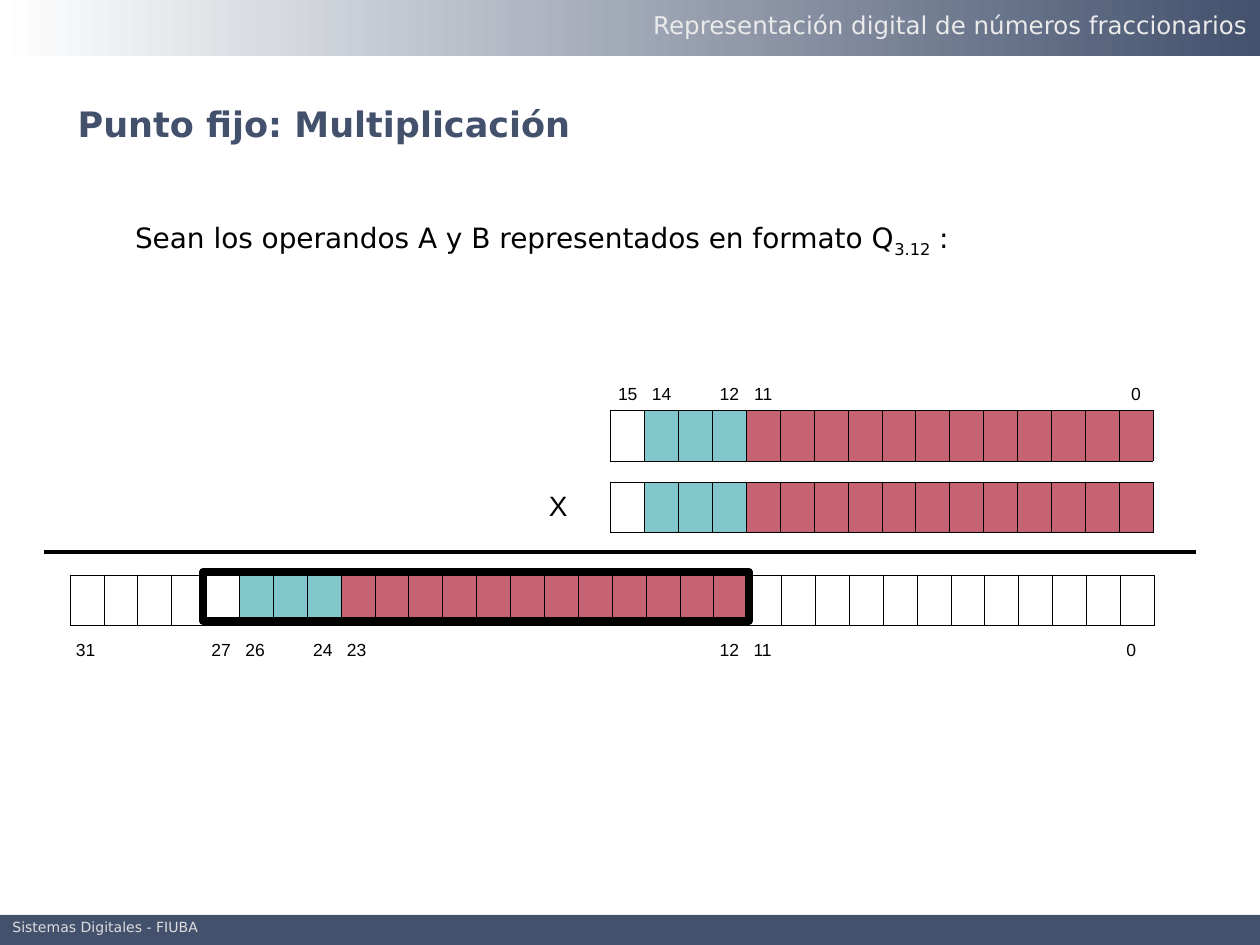
from dataclasses import dataclass

from lxml.etree import SubElement
from pptx import Presentation
from pptx.dml.color import RGBColor
from pptx.enum.shapes import MSO_CONNECTOR, MSO_SHAPE
from pptx.enum.text import MSO_ANCHOR, MSO_AUTO_SIZE, PP_ALIGN
from pptx.oxml.ns import qn
from pptx.util import Emu, Pt


@dataclass(frozen=True)
class Theme:
    navy: str = "43516D"
    white: str = "FFFFFF"
    black: str = "000000"
    header_text: str = "EAEAEA"
    footer_text: str = "DDDDDD"
    integer: str = "82C7CC"
    fraction: str = "C56373"
    font: str = "DejaVu Sans"
    table_font: str = "Arial"
    title_size: int = 20
    body_size: int = 16
    header_size: int = 14
    bit_size: int = 10
    footer_size: int = 8
    thin: float = 0.45
    rule: float = 2.25
    frame: float = 4.5


def px(value):
    return Emu(round(value * 914400 / 126))


class SlideBuilder:
    def __init__(self, presentation, theme):
        self.theme = theme
        self.slide = presentation.slides.add_slide(presentation.slide_layouts[1])

    def place(self, shape, left, top, width, height):
        shape.left, shape.top = px(left), px(top)
        shape.width, shape.height = px(width), px(height)

    def style(self, paragraph, size, color, name=None, bold=False):
        font = paragraph.font
        font.size, font.name, font.bold = Pt(size), name or self.theme.font, bold
        font.color.rgb = RGBColor.from_string(color)

    def title(self, text, box):
        shape = self.slide.shapes.title
        self.place(shape, *box)
        frame = shape.text_frame
        frame.text = text
        frame.vertical_anchor = MSO_ANCHOR.TOP
        frame.auto_size = MSO_AUTO_SIZE.SHAPE_TO_FIT_TEXT
        paragraph = frame.paragraphs[0]
        paragraph.alignment = PP_ALIGN.LEFT
        paragraph.space_before = Pt(12.5)
        self.style(paragraph, self.theme.title_size, self.theme.navy, bold=True)

    def body(self, parts, box):
        shape = self.slide.placeholders[1]
        self.place(shape, *box)
        frame = shape.text_frame
        frame.auto_size = MSO_AUTO_SIZE.NONE
        frame.margin_left = frame.margin_right = px(18)
        frame.margin_top, frame.margin_bottom = px(16), px(21)
        paragraph = frame.paragraphs[0]
        paragraph.level = 1
        paragraph.line_spacing = 1.5
        paragraph.space_before = Pt(10)
        properties = paragraph._p.get_or_add_pPr()
        properties.set("marL", str(px(63)))
        properties.set("indent", "0")
        SubElement(properties, qn("a:buNone"))
        self.style(paragraph, self.theme.body_size, self.theme.black)
        for text, baseline in parts:
            run = paragraph.add_run()
            run.text = text
            if baseline:
                run._r.get_or_add_rPr().set("baseline", str(baseline * 1000))

    def text(self, text, box, size, color, alignment=PP_ALIGN.LEFT, before=0, spacing=1.0):
        shape = self.slide.shapes.add_textbox(*map(px, box))
        frame = shape.text_frame
        frame.word_wrap = True
        frame.auto_size = MSO_AUTO_SIZE.SHAPE_TO_FIT_TEXT
        frame.text = text
        paragraph = frame.paragraphs[0]
        paragraph.alignment = alignment
        paragraph.space_before = Pt(before)
        paragraph.line_spacing = spacing
        self.style(paragraph, size, color)

    def rectangle(self, box):
        shape = self.slide.shapes.add_shape(MSO_SHAPE.RECTANGLE, *map(px, box))
        shape.shadow.inherit = False
        return shape

    def bar(self, box, color):
        shape = self.rectangle(box)
        shape.fill.solid()
        shape.fill.fore_color.rgb = RGBColor.from_string(color)
        shape.line.fill.background()

    def gradient_bar(self, box, colors):
        shape = self.rectangle(box)
        shape.fill.gradient()
        shape.fill.gradient_angle = 0
        for stop, position, color in zip(shape.fill.gradient_stops, (0, 1), colors):
            stop.position = position
            stop.color.rgb = RGBColor.from_string(color)
        shape.line.fill.background()

    def frame(self, box):
        shape = self.rectangle(box)
        shape.fill.background()
        shape.line.color.rgb = RGBColor.from_string(self.theme.black)
        shape.line.width = Pt(self.theme.frame)

    def rule(self, left, right, y):
        line = self.slide.shapes.add_connector(
            MSO_CONNECTOR.STRAIGHT, px(left), px(y), px(right), px(y))
        line.line.color.rgb = RGBColor.from_string(self.theme.black)
        line.line.width = Pt(self.theme.rule)
        SubElement(line._element.spPr, qn("a:effectLst"))

    def borders(self, cell, sides):
        properties = cell._tc.get_or_add_tcPr()
        for side, drawn in sides.items():
            line = SubElement(properties, qn(f"a:ln{side}"), w=str(Pt(self.theme.thin)))
            if drawn:
                fill = SubElement(line, qn("a:solidFill"))
                SubElement(fill, qn("a:srgbClr"), val=self.theme.black)
            else:
                SubElement(line, qn("a:noFill"))

    def label(self, cell, text, size, alignment, anchor):
        cell.text = text
        cell.vertical_anchor = anchor
        cell.margin_left = cell.margin_right = px(6)
        cell.margin_top = cell.margin_bottom = px(6)
        paragraph = cell.text_frame.paragraphs[0]
        paragraph.alignment = alignment
        paragraph.space_before = Pt(size / 4)
        self.style(paragraph, size, self.theme.black, self.theme.table_font)

    def bit_table(self, box, heights, rows, labels, size,
                  alignment=PP_ALIGN.LEFT, anchor=MSO_ANCHOR.MIDDLE):
        columns = len(rows[0])
        table = self.slide.shapes.add_table(len(rows), columns, *map(px, box)).table
        table.first_row = table.horz_banding = False
        for column in table.columns:
            column.width = px(box[2] / columns)
        for row, height in zip(table.rows, heights):
            row.height = px(height)
        colors = {"i": self.theme.integer, "f": self.theme.fraction}

        def boxed(row, column):
            inside = 0 <= row < len(rows) and 0 <= column < columns
            return inside and rows[row][column] != "."

        for r, kinds in enumerate(rows):
            for c, kind in enumerate(kinds):
                cell = table.cell(r, c)
                neighbours = {"L": (r, c - 1), "R": (r, c + 1), "T": (r - 1, c), "B": (r + 1, c)}
                self.borders(cell, {side: boxed(r, c) or boxed(*place)
                                    for side, place in neighbours.items()})
                if kind in colors:
                    cell.fill.solid()
                    cell.fill.fore_color.rgb = RGBColor.from_string(colors[kind])
                else:
                    cell.fill.background()
                if (r, c) in labels:
                    self.label(cell, labels[r, c], size, alignment, anchor)


def main():
    presentation = Presentation()
    presentation.slide_width, presentation.slide_height = px(1260), px(945)
    theme = Theme()
    builder = SlideBuilder(presentation, theme)

    builder.body([("Sean los operandos A y B representados en formato Q", 0),
                  ("3.12", -25), (" :", 0)], (54, 185, 1152, 638))
    builder.bar((0, 915, 1260, 30), theme.navy)
    builder.text("Sistemas Digitales - FIUBA", (0, 917, 362, 25), theme.footer_size,
                 theme.footer_text, before=5, spacing=0.7)
    builder.title("Punto fijo: Multiplicación", (65, 96, 873, 55))
    builder.gradient_bar((0, 0, 1260, 56), (theme.white, theme.navy))
    builder.text("Representación digital de números fraccionarios", (10, 4, 1250, 43),
                 theme.header_size, theme.header_text, PP_ALIGN.RIGHT, before=8.8)

    word = "s" + "i" * 3 + "f" * 12
    operand = "." * 10 + word
    product = "s" * 4 + word + "s" * 12
    operand_labels = {(0, 25 - bit): str(bit) for bit in (15, 14, 12, 11, 0)}
    product_labels = {(1, 31 - bit): str(bit) for bit in (31, 27, 26, 24, 23, 12, 11, 0)}

    builder.bit_table((272, 360, 882, 92), (46, 46), ("." * 26, operand), operand_labels,
                      theme.bit_size, PP_ALIGN.CENTER, MSO_ANCHOR.BOTTOM)
    builder.bit_table((272, 482, 882, 46), (46,), (operand,), {(0, 8): "X"}, theme.body_size)
    builder.bit_table((70, 575, 1085, 85), (46, 39), (product, "." * 32), product_labels,
                      theme.bit_size)
    builder.rule(44, 1196, 552)
    builder.frame((203, 572, 546, 49))

    presentation.save("out.pptx")


if __name__ == "__main__":
    main()
